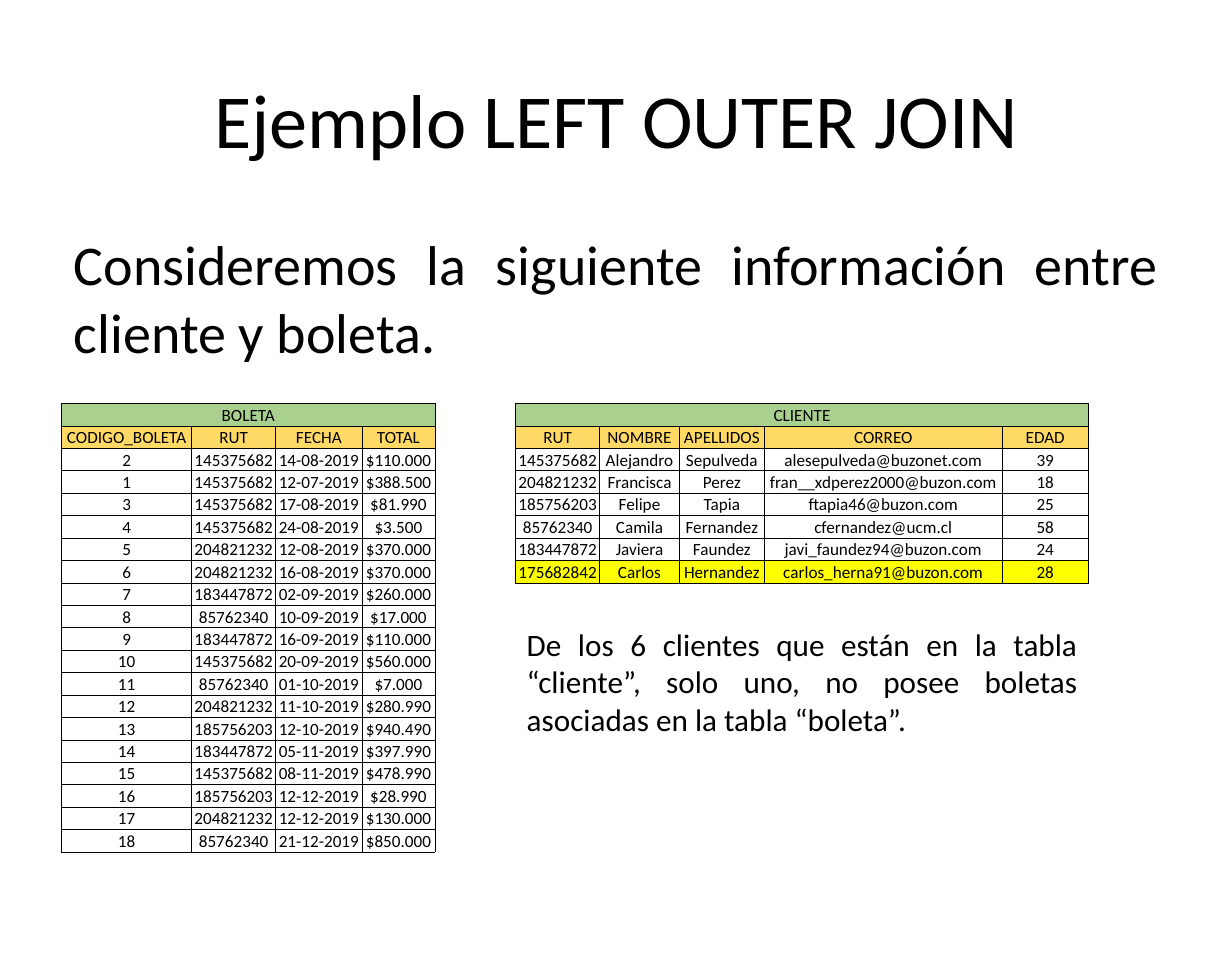
from lxml.etree import SubElement
from pptx import Presentation
from pptx.dml.color import RGBColor
from pptx.enum.text import MSO_ANCHOR as Anchor, MSO_AUTO_SIZE as AutoSize, PP_ALIGN as Align
from pptx.oxml.ns import qn
from pptx.util import Inches, Pt

TITLE = "Ejemplo LEFT OUTER JOIN"
INTRO = "Consideremos la siguiente información entre cliente y boleta."
NOTE = (
    "De los 6 clientes que están en la tabla “cliente”, solo uno, "
    "no posee boletas asociadas en la tabla “boleta”."
)
BOLETA = [
    ("CODIGO_BOLETA", "RUT", "FECHA", "TOTAL"),
    ("2", "145375682", "14-08-2019", "$110.000"),
    ("1", "145375682", "12-07-2019", "$388.500"),
    ("3", "145375682", "17-08-2019", "$81.990"),
    ("4", "145375682", "24-08-2019", "$3.500"),
    ("5", "204821232", "12-08-2019", "$370.000"),
    ("6", "204821232", "16-08-2019", "$370.000"),
    ("7", "183447872", "02-09-2019", "$260.000"),
    ("8", "85762340", "10-09-2019", "$17.000"),
    ("9", "183447872", "16-09-2019", "$110.000"),
    ("10", "145375682", "20-09-2019", "$560.000"),
    ("11", "85762340", "01-10-2019", "$7.000"),
    ("12", "204821232", "11-10-2019", "$280.990"),
    ("13", "185756203", "12-10-2019", "$940.490"),
    ("14", "183447872", "05-11-2019", "$397.990"),
    ("15", "145375682", "08-11-2019", "$478.990"),
    ("16", "185756203", "12-12-2019", "$28.990"),
    ("17", "204821232", "12-12-2019", "$130.000"),
    ("18", "85762340", "21-12-2019", "$850.000"),
]
CLIENTE = [
    ("RUT", "NOMBRE", "APELLIDOS", "CORREO", "EDAD"),
    ("145375682", "Alejandro", "Sepulveda", "alesepulveda@buzonet.com", "39"),
    ("204821232", "Francisca", "Perez", "fran__xdperez2000@buzon.com", "18"),
    ("185756203", "Felipe", "Tapia", "ftapia46@buzon.com", "25"),
    ("85762340", "Camila", "Fernandez", "cfernandez@ucm.cl", "58"),
    ("183447872", "Javiera", "Faundez", "javi_faundez94@buzon.com", "24"),
    ("175682842", "Carlos", "Hernandez", "carlos_herna91@buzon.com", "28"),
]
BOLETA_WIDTHS = (1.16, 0.75, 0.77, 0.65)
CLIENTE_WIDTHS = (0.75, 0.71, 0.76, 2.12, 0.77)
CLIENT_WITHOUT_BOLETA = "175682842"

FONT = "Calibri"
BLACK = RGBColor(0x00, 0x00, 0x00)
GREEN = RGBColor(0xA9, 0xD0, 0x8E)
GOLD = RGBColor(0xFF, 0xD9, 0x66)
YELLOW = RGBColor(0xFF, 0xFF, 0x00)

LEFT_COLUMN, RIGHT_COLUMN = 0.55, 4.6
CONTENT_WIDTH, NOTE_WIDTH = 9.89, 5.11
TABLE_TOP, ROW_HEIGHT = 3.6, 0.2


def write_text(frame, text, size, align, bullet=True):
    frame.word_wrap = True
    paragraph = frame.paragraphs[0]
    if not bullet:
        properties = paragraph._p.get_or_add_pPr()
        properties.set("marL", "0")
        properties.set("indent", "0")
        SubElement(properties, qn("a:buNone"))
    paragraph.alignment = align
    paragraph.space_before = Pt(0)
    run = paragraph.add_run()
    run.text = text
    run.font.name = FONT
    run.font.size = Pt(size)
    run.font.color.rgb = BLACK


def fill_placeholder(shape, text, top, height, anchor, **text_format):
    shape.left, shape.top = Inches(LEFT_COLUMN), Inches(top)
    shape.width, shape.height = Inches(CONTENT_WIDTH), Inches(height)
    frame = shape.text_frame
    frame.auto_size = AutoSize.NONE
    frame.vertical_anchor = anchor
    frame.margin_left = frame.margin_right = Inches(0.11)
    frame.margin_top = frame.margin_bottom = Inches(0.06)
    write_text(frame, text, **text_format)


def add_borders(cell):
    properties = cell._tc.get_or_add_tcPr()
    for side in ("lnL", "lnR", "lnT", "lnB"):
        line = SubElement(properties, qn(f"a:{side}"), w=str(Pt(0.5)))
        solid = SubElement(line, qn("a:solidFill"))
        SubElement(solid, qn("a:srgbClr"), val=str(BLACK))


def format_cell(cell, color, anchor):
    add_borders(cell)
    cell.margin_left = cell.margin_right = cell.margin_top = Inches(0.01)
    cell.margin_bottom = 0
    cell.vertical_anchor = anchor
    if color is None:
        cell.fill.background()
    else:
        cell.fill.solid()
        cell.fill.fore_color.rgb = color


def add_data_table(slide, name, records, widths, left):
    rows = [(name,) + ("",) * (len(widths) - 1)] + records
    frame = slide.shapes.add_table(
        len(rows), len(widths), Inches(left), Inches(TABLE_TOP),
        Inches(sum(widths)), Inches(ROW_HEIGHT * len(rows)),
    )
    table = frame.table
    table.first_row = table.horz_banding = False
    for column, width in zip(table.columns, widths):
        column.width = Inches(width)
    for row_index, values in enumerate(rows):
        table.rows[row_index].height = Inches(ROW_HEIGHT)
        highlighted = values[0] == CLIENT_WITHOUT_BOLETA
        color = YELLOW if highlighted else {0: GREEN, 1: GOLD}.get(row_index)
        anchor = Anchor.BOTTOM if highlighted else Anchor.MIDDLE
        for column_index, value in enumerate(values):
            cell = table.cell(row_index, column_index)
            format_cell(cell, color, anchor)
            if value:
                write_text(cell.text_frame, value, size=11, align=Align.CENTER)
    table.cell(0, 0).merge(table.cell(0, len(widths) - 1))


def main():
    presentation = Presentation()
    presentation.slide_width = Inches(10.99)
    presentation.slide_height = Inches(8.51)
    slide = presentation.slides.add_slide(presentation.slide_layouts[1])

    fill_placeholder(slide.shapes.title, TITLE, 0.34, 1.42, Anchor.MIDDLE,
                     size=49, align=Align.CENTER)
    fill_placeholder(slide.placeholders[1], INTRO, 1.99, 5.62, Anchor.TOP,
                     size=36, align=Align.JUSTIFY, bullet=False)
    add_data_table(slide, "BOLETA", BOLETA, BOLETA_WIDTHS, LEFT_COLUMN)
    add_data_table(slide, "CLIENTE", CLIENTE, CLIENTE_WIDTHS, RIGHT_COLUMN)

    note = slide.shapes.add_textbox(
        Inches(RIGHT_COLUMN), Inches(5.53), Inches(NOTE_WIDTH), Inches(1.11))
    note.text_frame.auto_size = AutoSize.SHAPE_TO_FIT_TEXT
    write_text(note.text_frame, NOTE, size=20, align=Align.JUSTIFY)

    presentation.save("out.pptx")


if __name__ == "__main__":
    main()
